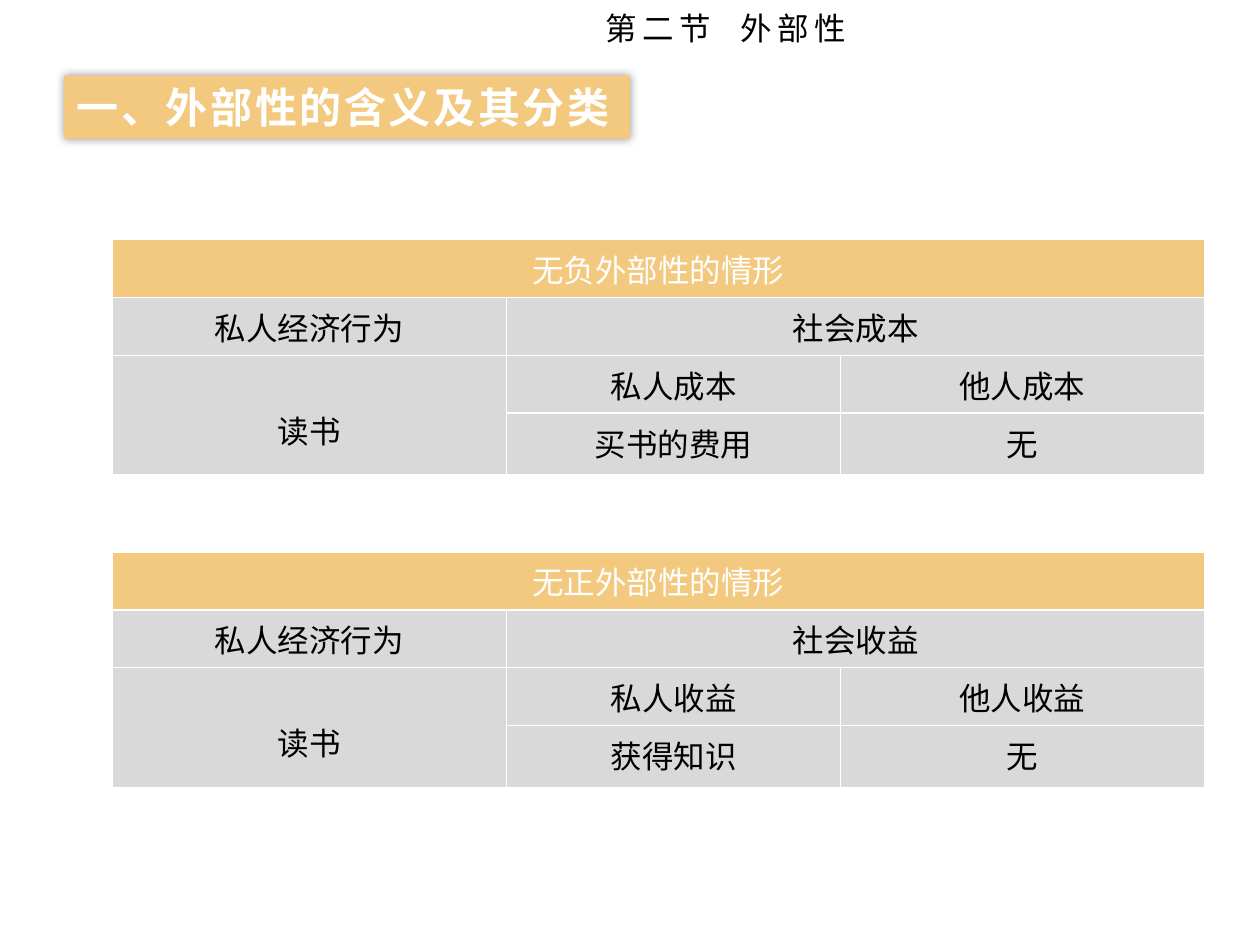
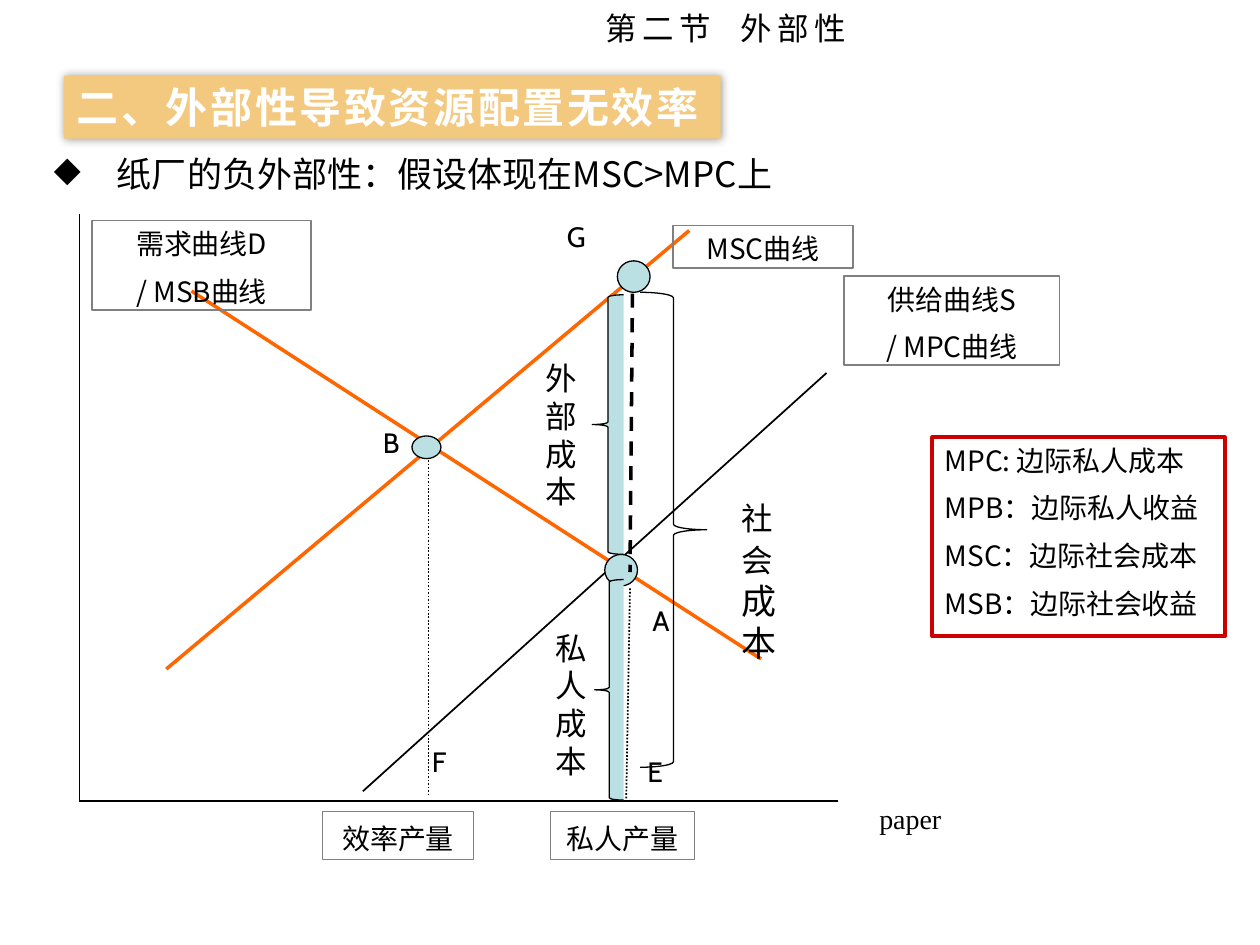
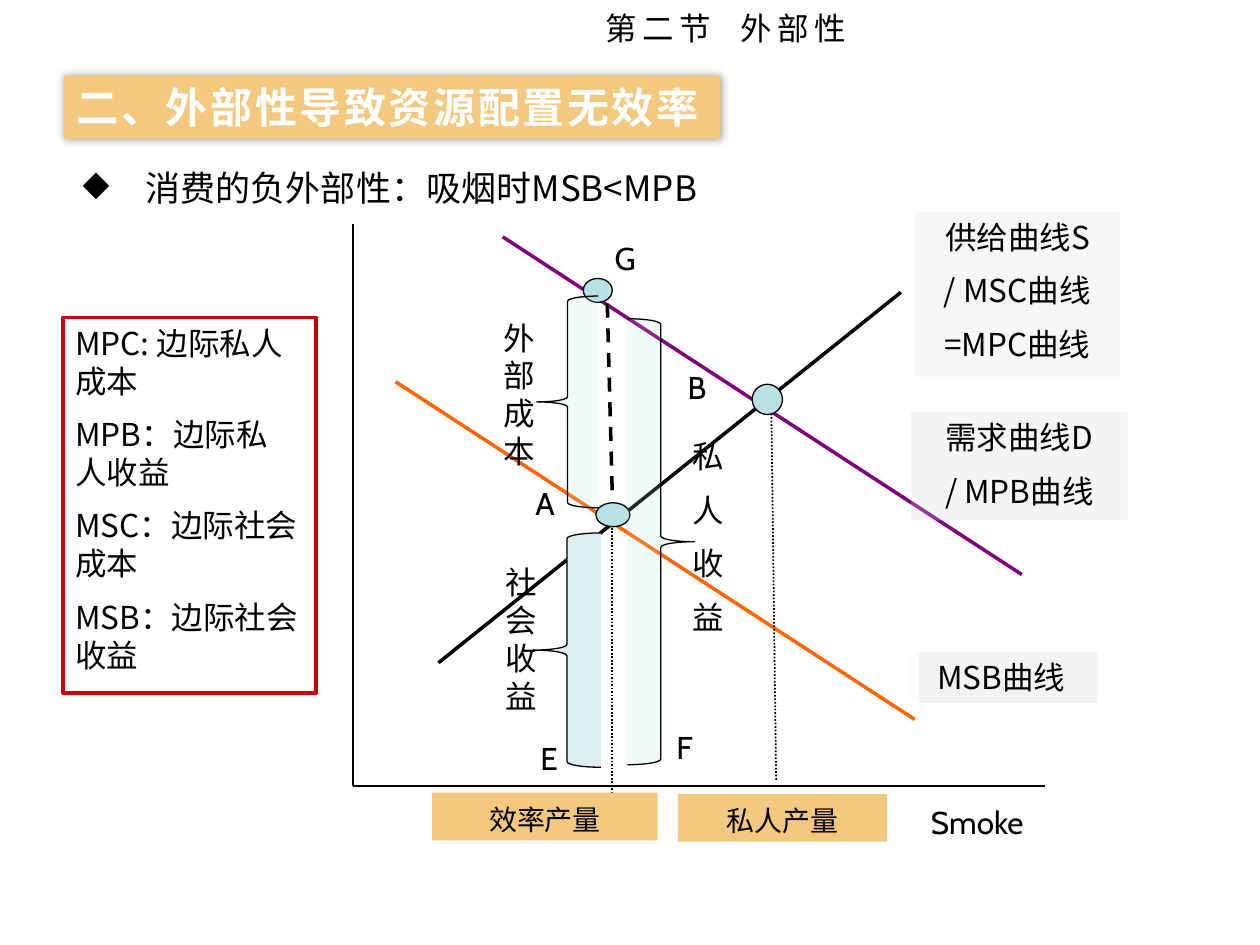
from dataclasses import dataclass

from lxml import etree
from pptx import Presentation
from pptx.dml.color import RGBColor
from pptx.enum.dml import MSO_LINE
from pptx.enum.shapes import MSO_CONNECTOR, MSO_SHAPE
from pptx.enum.text import MSO_ANCHOR, PP_ALIGN
from pptx.oxml.ns import qn
from pptx.util import Inches, Pt

LEFT, CENTER = PP_ALIGN.LEFT, PP_ALIGN.CENTER
TOP, MIDDLE = MSO_ANCHOR.TOP, MSO_ANCHOR.MIDDLE
RECTANGLE, ELLIPSE = MSO_SHAPE.RECTANGLE, MSO_SHAPE.OVAL
LEFT_BRACE, RIGHT_BRACE = MSO_SHAPE.LEFT_BRACE, MSO_SHAPE.RIGHT_BRACE
SOLID, DASH, DOT = MSO_LINE.SOLID, MSO_LINE.DASH, MSO_LINE.ROUND_DOT
STRAIGHT = MSO_CONNECTOR.STRAIGHT


@dataclass(frozen=True)
class Theme:
    black: str = "000000"
    white: str = "FFFFFF"
    gold: str = "F3C97F"
    cell: str = "D9D9D9"
    orange: str = "FF6600"
    purple: str = "800080"
    teal: str = "BBE0E3"
    pale_teal: str = "DAEDEF"
    mist: str = "F2F3F4"
    frame: str = "808080"
    alert: str = "CC0000"
    cjk: str = "Noto Sans CJK SC"
    latin: str = "Cabin"
    serif: str = "Times New Roman"
    small: int = 16
    body: int = 18
    lead: int = 20
    heading: int = 24
    line_height: float = 1.2


THEME = Theme()


@dataclass(frozen=True)
class Span:
    text: str
    size: float = THEME.body
    spacing: float = 0
    bold: bool = False


SECTION = [Span("第二节", spacing=3), Span(" ", spacing=10), Span("外部性", spacing=3)]
ABBREVIATIONS = ["MPC: 边际私人成本", "MPB：边际私人收益", "MSC：边际社会成本", "MSB：边际社会收益"]

TABLE_LEFT = 0.89
COLUMNS = (3.13, 2.65, 2.89)
ROWS = (0.46, 0.46, 0.46, 0.49)
TABLE_SPANS = (((0, 0), (0, 2)), ((1, 1), (1, 2)), ((2, 0), (3, 0)))
TABLES = [
    (1.9, [["无负外部性的情形", "", ""], ["私人经济行为", "社会成本", ""],
           ["读书", "私人成本", "他人成本"], ["", "买书的费用", "无"]]),
    (4.38, [["无正外部性的情形", "", ""], ["私人经济行为", "社会收益", ""],
            ["读书", "私人收益", "他人收益"], ["", "获得知识", "无"]]),
]

# Boxes are (left, top, width, height); lines are (x1, y1, x2, y2).
PAPER = {
    "size": THEME.small,
    "bullet": ("纸厂的负外部性：假设体现在MSC>MPC上", (0.33, 1.16, 9.77, 0.44), {}),
    "axes": (0.63, 1.7, 6.65, 6.36),
    "curves": [((1.52, 2.31, 6.04, 5.23), THEME.orange, 2),
               ((1.32, 5.31, 5.47, 1.83), THEME.orange, 2),
               ((2.88, 6.28, 6.56, 2.96), THEME.black, 1)],
    "drops": [(3.4, 3.57, 3.4, 6.32), (5, 4.67, 4.97, 6.36)],
    "gap": (5.02, 2.33, 5, 4.54),
    "labels": [(["需求曲线D", "/ MSB曲线"], (0.73, 1.75, 1.74, 0.71), None, 100),
               (["供给曲线S", "/ MPC曲线"], (6.7, 2.19, 1.71, 0.71), None, 100),
               (["MSC曲线"], (5.34, 1.79, 1.43, 0.34), None, 100)],
    "label_border": THEME.frame,
    "outputs": [("效率产量", (2.56, 6.44, 1.2, 0.38)), ("私人产量", (4.37, 6.44, 1.14, 0.38))],
    "output_fill": None,
    "nodes": [(3.27, 3.46, 0.23, 0.18), (4.8, 4.4, 0.26, 0.25), (4.9, 2.07, 0.26, 0.25)],
    "braces": [(LEFT_BRACE, (4.7, 2.34, 0.25, 2.06), THEME.teal, 100),
               (LEFT_BRACE, (4.72, 4.6, 0.23, 1.75), THEME.teal, 100),
               (RIGHT_BRACE, (5.08, 2.32, 0.53, 3.77), None, 100)],
    "points": {"A": (5.08, 4.74), "B": (2.94, 3.33), "F": (3.33, 5.86),
               "E": (5.04, 5.94), "G": (4.4, 1.69)},
    "columns": [(["外部成本"], (4.23, 2.8, 0.57, 1.31)),
                (["私人成本"], (4.31, 4.94, 0.55, 1.31)),
                ([[Span("社会"), Span("成本", THEME.lead)]], (5.79, 3.88, 0.44, 1.38))],
    "good": ("paper", (6.88, 6.31, 1.79, 0.37),
             {"font": THEME.serif, "size": THEME.small}),
    "legend": ((7.4, 3.47, 2.32, 1.58), 0.1),
}

SMOKE = {
    "size": THEME.body,
    "bullet": ("消费的负外部性：吸烟时MSB<MPB", (0.23, 0.93, 5.73, 0.95),
               {"align": CENTER, "anchor": MIDDLE, "leading": 1.5}),
    "axes": (2.8, 1.78, 8.29, 6.24),
    "curves": [((3.14, 3.03, 7.26, 5.71), THEME.orange, 2),
               ((3.48, 5.26, 7.15, 2.32), THEME.black, 2),
               ((3.99, 1.88, 8.11, 4.56), THEME.purple, 2)],
    "drops": [(4.86, 4.19, 4.86, 6.33), (6.12, 3.09, 6.16, 6.19)],
    "gap": (4.82, 2.41, 4.86, 3.94),
    "labels": [(["需求曲线D", "/ MPB曲线"], (7.23, 3.27, 1.72, 0.86), THEME.cell, 25),
               (["供给曲线S", "/ MSC曲线", "=MPC曲线"], (7.26, 1.68, 1.63, 1.31),
                THEME.cell, 23),
               ([], (7.29, 5.18, 1.42, 0.4), THEME.mist, 100),
               (["MSB曲线"], (7.22, 5.17, 1.45, 0.4), THEME.mist, 20)],
    "label_border": None,
    "outputs": [("效率产量", (3.43, 6.29, 1.79, 0.38)), ("私人产量", (5.38, 6.3, 1.66, 0.38))],
    "output_fill": THEME.gold,
    "nodes": [(4.73, 3.99, 0.27, 0.19), (5.97, 3.05, 0.24, 0.24), (4.63, 2.21, 0.23, 0.19)],
    "braces": [(RIGHT_BRACE, (4.98, 2.53, 0.53, 3.54), THEME.teal, 18),
               (LEFT_BRACE, (4.23, 4.23, 0.54, 1.86), THEME.pale_teal, 100),
               (LEFT_BRACE, (4.26, 2.35, 0.49, 1.68), THEME.teal, 18)],
    "points": {"A": (4.15, 3.79), "B": (5.36, 2.87), "F": (5.27, 5.73),
               "E": (4.19, 5.82), "G": (4.78, 1.85)},
    "columns": [(["外部成本"], (3.9, 2.48, 0.61, 1.31)),
                (["社会收益"], (3.91, 4.42, 0.61, 1.31)),
                (list("私人收益"), (5.4, 3.42, 0.28, 1.77))],
    "good": ("Smoke", (7.29, 6.07, 1.78, 0.76), {"font": THEME.latin, "anchor": MIDDLE,
                                                 "leading": 1.5}),
    "legend": ((0.5, 2.52, 2.01, 2.98), 0.14),
}


def inches(lengths):
    return [Inches(length) for length in lengths]


def style_run(run, size, color, font, bold=False, spacing=0):
    run.font.size = Pt(size)
    run.font.bold = bold
    run.font.color.rgb = RGBColor.from_string(color)
    run.font.name = font
    properties = run._r.get_or_add_rPr()
    etree.SubElement(properties, qn("a:ea"), typeface=font)
    if spacing:
        properties.set("spc", str(int(spacing * 100)))


def add_bullet(paragraph):
    properties = paragraph._p.get_or_add_pPr()
    properties.set("marL", str(Inches(0.5)))
    properties.set("indent", str(-Inches(0.5)))
    etree.SubElement(properties, qn("a:buChar"), char="◆")


def write(shape, lines, size=THEME.body, color=THEME.black, font=THEME.cjk,
          align=LEFT, anchor=TOP, leading=1, bullet=False, wrap=True):
    """Fill a shape with lines; each line is a string or a list of spans."""
    frame = shape.text_frame
    frame.word_wrap = wrap
    frame.vertical_anchor = anchor
    for index, line in enumerate(lines):
        spans = [Span(line, size)] if isinstance(line, str) else line
        paragraph = frame.add_paragraph() if index else frame.paragraphs[0]
        tallest = max(span.size for span in spans)
        paragraph.alignment = align
        paragraph.line_spacing = Pt(tallest * THEME.line_height * leading)
        if index:
            paragraph.space_before = Pt(tallest / 2)
        if bullet:
            add_bullet(paragraph)
        for span in spans:
            run = paragraph.add_run()
            run.text = span.text
            style_run(run, span.size, color, font, span.bold, span.spacing)


def add_text(page, lines, box, **style):
    write(page.shapes.add_textbox(*inches(box)), lines, **style)


def add_figure(page, kind, box, fill=None, opacity=100, border=None, weight=0.75):
    shape = page.shapes.add_shape(kind, *inches(box))
    shape.shadow.inherit = False
    if fill:
        shape.fill.solid()
        shape.fill.fore_color.rgb = RGBColor.from_string(fill)
        if opacity < 100:
            color = shape._element.spPr.find(qn("a:solidFill"))[0]
            etree.SubElement(color, qn("a:alpha"), val=str(opacity * 1000))
    else:
        shape.fill.background()
    if border:
        shape.line.color.rgb = RGBColor.from_string(border)
        shape.line.width = Pt(weight)
    else:
        shape.line.fill.background()
    return shape


def add_line(page, ends, color=THEME.black, weight=1, dash=SOLID):
    line = page.shapes.add_connector(STRAIGHT, *inches(ends))
    line.line.color.rgb = RGBColor.from_string(color)
    line.line.width = Pt(weight)
    line.line.dash_style = dash
    etree.SubElement(line._element.spPr, qn("a:effectLst"))


def add_page(deck, heading, heading_width):
    page = deck.slides.add_slide(deck.slide_layouts[6])
    add_text(page, [SECTION], (4.71, 0.1, 5, 0.24), anchor=MIDDLE)
    banner = add_figure(page, RECTANGLE, (0.51, 0.6, heading_width, 0.5), THEME.gold)
    effects = banner._element.spPr.find(qn("a:effectLst"))
    shadow = etree.SubElement(effects, qn("a:outerShdw"), blurRad=str(Pt(5)), dist="0", dir="0")
    color = etree.SubElement(shadow, qn("a:srgbClr"), val=THEME.black)
    etree.SubElement(color, qn("a:alpha"), val="40000")
    write(banner, [[Span(heading, THEME.heading, 1.5, True)]], color=THEME.white, wrap=False)
    return page


def add_case_table(page, top, cells):
    box = (TABLE_LEFT, top, sum(COLUMNS), sum(ROWS))
    table = page.shapes.add_table(len(ROWS), len(COLUMNS), *inches(box)).table
    for column, width in zip(table.columns, COLUMNS):
        column.width = Inches(width)
    for row, height in zip(table.rows, ROWS):
        row.height = Inches(height)
    for first, last in TABLE_SPANS:
        table.cell(*first).merge(table.cell(*last))
    for i, texts in enumerate(cells):
        for j, text in enumerate(texts):
            cell = table.cell(i, j)
            cell.fill.solid()
            cell.fill.fore_color.rgb = RGBColor.from_string(THEME.cell if i else THEME.gold)
            if text:
                paragraph = cell.text_frame.paragraphs[0]
                paragraph.text = text
                paragraph.alignment = CENTER
                style_run(paragraph.runs[0], THEME.body,
                          THEME.black if i else THEME.white, THEME.cjk)
    table.cell(2, 0).margin_top = Inches(0.41)


def add_diagram(page, content):
    size = content["size"]
    text, box, style = content["bullet"]
    add_text(page, [text], box, size=THEME.lead, bullet=True, **style)

    left, top, right, bottom = content["axes"]
    add_line(page, (left, top, left, bottom))
    add_line(page, (left, bottom, right, bottom))
    for ends, color, weight in content["curves"]:
        add_line(page, ends, color, weight)
    for ends in content["drops"]:
        add_line(page, ends, dash=DOT)

    border = content["label_border"]
    for lines, box, fill, opacity in content["labels"]:
        label = add_figure(page, RECTANGLE, box, fill, opacity, border, 1)
        write(label, lines, size, align=CENTER)
    for text, box in content["outputs"]:
        label = add_figure(page, RECTANGLE, box, content["output_fill"], border=border)
        write(label, [text], THEME.small, align=CENTER, leading=1.1)

    for box in content["nodes"]:
        add_figure(page, ELLIPSE, box, THEME.teal, border=THEME.black)
    add_line(page, content["gap"], weight=2, dash=DASH)
    for kind, box, fill, opacity in content["braces"]:
        add_figure(page, kind, box, fill, opacity, THEME.black)

    for letter, corner in content["points"].items():
        add_text(page, [letter], (*corner, 0.6, 0.4), size=size, font=THEME.latin)
    for lines, box in content["columns"]:
        add_text(page, lines, box)
    text, box, style = content["good"]
    add_text(page, [text], box, **style)

    box, right_inset = content["legend"]
    legend = add_figure(page, RECTANGLE, box, border=THEME.alert, weight=2.25)
    legend.text_frame.margin_right = Inches(right_inset)
    write(legend, ABBREVIATIONS, size)


def main():
    deck = Presentation()
    deck.slide_width, deck.slide_height = Inches(10), Inches(7.5)
    page = add_page(deck, "一、外部性的含义及其分类", 4.49)
    for top, cells in TABLES:
        add_case_table(page, top, cells)
    for content in (PAPER, SMOKE):
        add_diagram(add_page(deck, "二、外部性导致资源配置无效率", 5.21), content)
    deck.save("out.pptx")


if __name__ == "__main__":
    main()
